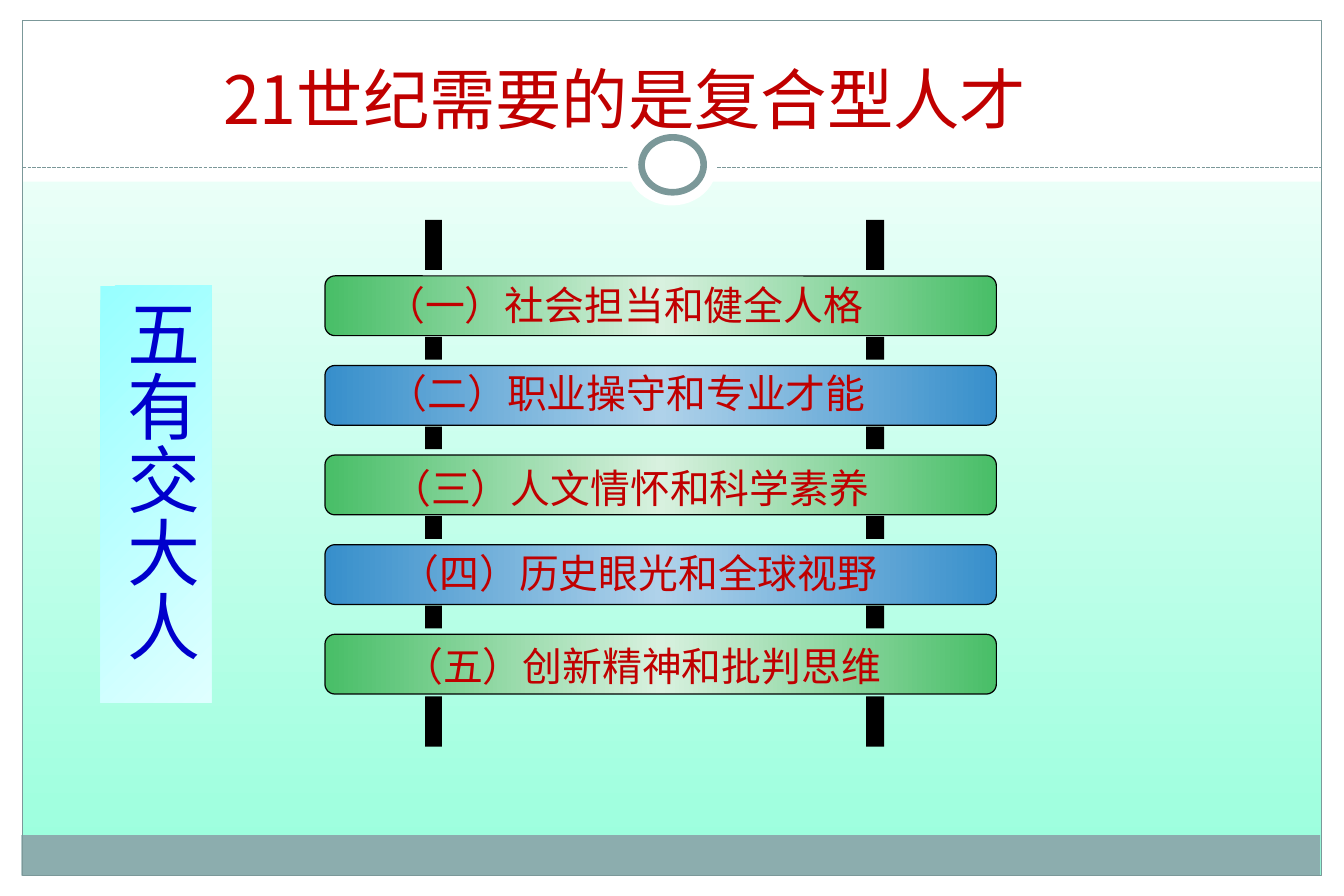
"""Build the slide on the five qualities of versatile talent."""
from pptx import Presentation
from pptx.dml.color import RGBColor
from pptx.enum.dml import MSO_LINE
from pptx.enum.shapes import MSO_CONNECTOR, MSO_SHAPE as SHAPE
from pptx.enum.text import MSO_AUTO_SIZE, PP_ALIGN
from pptx.oxml import parse_xml
from pptx.oxml.ns import nsdecls, qn
from pptx.util import Inches, Pt
from copy import deepcopy
from dataclasses import dataclass

TITLE = "21世纪需要的是复合型人才"
SIDE_LABEL = "五有交大人"
QUALITIES = [
    ("（一）社会担当和健全人格", 2.78, 2.30, 4.89),
    ("（二）职业操守和专业才能", 2.90, 3.04, 4.69),
    ("（三）人文情怀和科学素养", 3.03, 3.83, 4.49),
    ("（四）历史眼光和全球视野", 3.18, 4.54, 4.33),
    ("（五）创新精神和批判思维", 3.03, 5.32, 4.69),
]


@dataclass(frozen=True)
class Theme:
    font: str = "Noto Sans CJK JP"
    title_size: int = 40
    label_size: int = 44
    quality_size: int = 24
    text: str = "C00000"
    label: str = "0000CC"
    paper: str = "FFFFFF"
    rule: str = "7B9899"
    footer: str = "8CADAE"
    ink: str = "000000"
    background: tuple = ("FFFFFF", "97FFDC")
    panel: tuple = ("97FFFF", "DFFFFF")
    bars: tuple = (("48BE67", "D8F1DF", "48BE67"), ("378FCB", "AFD2EA", "378FCB"))


THEME = Theme()
WIDTH, HEIGHT = 11.25, 7.5
MARGIN_X, MARGIN_Y = 0.19, 0.17
RULE_TOP = 1.4
BAR_LEFT, BAR_TOP, BAR_WIDTH, BAR_HEIGHT, BAR_STEP = 2.72, 2.31, 5.62, 0.5, 0.75
POSTS = [(3.56, 0.14), (7.25, 0.15)]
POST_END, POST_LINK = 0.42, 0.19


def set_gradient(fill, element, colors, angle):
    fill.gradient()
    fill.gradient_angle = -angle % 360
    stop_list = next(element.iter(qn("a:gsLst")))
    for _ in colors[2:]:
        stop_list.append(deepcopy(stop_list[0]))
    for index, (stop, color) in enumerate(zip(fill.gradient_stops, colors)):
        stop.position = index / (len(colors) - 1)
        stop.color.rgb = RGBColor.from_string(color)


def add_box(shapes, kind, box, fill=None, line=None, line_width=0.75, angle=0):
    shape = shapes.add_shape(kind, *map(Inches, box))
    shape.shadow.inherit = False
    if fill is None:
        shape.fill.background()
    elif isinstance(fill, tuple):
        set_gradient(shape.fill, shape.element, fill, angle)
    else:
        shape.fill.solid()
        shape.fill.fore_color.rgb = RGBColor.from_string(fill)
    if line:
        shape.line.color.rgb = RGBColor.from_string(line)
        shape.line.width = Pt(line_width)
    else:
        shape.line.fill.background()
    return shape


def write_text(shape, text, size, color, align=PP_ALIGN.LEFT):
    frame = shape.text_frame
    frame.word_wrap = True
    frame.auto_size = MSO_AUTO_SIZE.SHAPE_TO_FIT_TEXT
    paragraph = frame.paragraphs[0]
    paragraph.text = text
    paragraph.alignment = align
    font = paragraph.font
    font.name, font.size = THEME.font, Pt(size)
    font.color.rgb = RGBColor.from_string(color)
    latin = next(paragraph._p.iter(qn("a:latin")))
    latin.addnext(parse_xml(f'<a:ea {nsdecls("a")} typeface="{THEME.font}"/>'))
    return frame


def add_text(slide, box, *style):
    write_text(slide.shapes.add_textbox(*map(Inches, box)), *style)


def draw_frame(slide):
    shapes = slide.shapes
    set_gradient(slide.background.fill, slide.element, THEME.background, 90)
    add_box(shapes, SHAPE.RECTANGLE, (0, 0, WIDTH, 1.52), THEME.paper)
    rule = shapes.add_connector(MSO_CONNECTOR.STRAIGHT, *map(
        Inches, (MARGIN_X, RULE_TOP, WIDTH - MARGIN_X, RULE_TOP)))
    rule.line.color.rgb = RGBColor.from_string(THEME.rule)
    rule.line.width = Pt(0.75)
    rule.line.dash_style = MSO_LINE.SQUARE_DOT
    rule.element.spPr.append(parse_xml(f'<a:effectLst {nsdecls("a")}/>'))
    add_box(shapes, SHAPE.OVAL, (5.25, 1.05, 0.75, 0.67), THEME.paper)
    add_box(shapes, SHAPE.OVAL, (5.37, 1.15, 0.52, 0.46), THEME.paper, THEME.rule, 4)
    for edge in [
        (0, HEIGHT - MARGIN_Y, WIDTH, MARGIN_Y),
        (0, 0, WIDTH, MARGIN_Y),
        (WIDTH - MARGIN_X, 0, MARGIN_X, HEIGHT),
        (0, 0, MARGIN_X, HEIGHT),
    ]:
        add_box(shapes, SHAPE.RECTANGLE, edge, THEME.paper)
    add_box(shapes, SHAPE.RECTANGLE, (0.18, 6.99, 10.87, 0.34), THEME.footer)
    border = (MARGIN_X, MARGIN_Y, WIDTH - 2 * MARGIN_X, HEIGHT - 2 * MARGIN_Y)
    add_box(shapes, SHAPE.RECTANGLE, border, line=THEME.rule)


def draw_ladder(slide):
    for index, (text, left, top, width) in enumerate(QUALITIES):
        bar = (BAR_LEFT, BAR_TOP + index * BAR_STEP, BAR_WIDTH, BAR_HEIGHT)
        add_box(slide.shapes, SHAPE.ROUNDED_RECTANGLE, bar,
                THEME.bars[index % len(THEME.bars)], THEME.ink)
        add_text(slide, (left, top, width, BAR_HEIGHT), text,
                 THEME.quality_size, THEME.text, PP_ALIGN.CENTER)
    first_link = BAR_TOP + BAR_HEIGHT + 0.01
    links = [(first_link + index * BAR_STEP, POST_LINK)
             for index in range(len(QUALITIES) - 1)]
    pieces = [(1.84, POST_END), *links, (5.83, POST_END)]
    for left, width in POSTS:
        post = slide.shapes.add_group_shape()
        for top, height in pieces:
            add_box(post.shapes, SHAPE.RECTANGLE, (left, top, width, height), THEME.ink)


def draw_side_label(slide):
    panel = add_box(slide.shapes, SHAPE.RECTANGLE, (0.84, 2.39, 0.93, 3.49),
                    THEME.panel, angle=45)
    frame = write_text(panel, SIDE_LABEL, THEME.label_size, THEME.label)
    frame.margin_left = frame.margin_right = Inches(0.05)
    frame.margin_top = frame.margin_bottom = Inches(0.1)
    body = next(panel.element.iter(qn("a:bodyPr")))
    body.set("vert", "eaVert")
    body.set("anchor", "t")


def main():
    presentation = Presentation()
    presentation.slide_width, presentation.slide_height = Inches(WIDTH), Inches(HEIGHT)
    slide = presentation.slides.add_slide(presentation.slide_layouts[6])
    draw_frame(slide)
    draw_ladder(slide)
    draw_side_label(slide)
    add_text(slide, (1.77, 0.44, 7.56, 0.77), TITLE, THEME.title_size, THEME.text)
    presentation.save("out.pptx")


if __name__ == "__main__":
    main()
